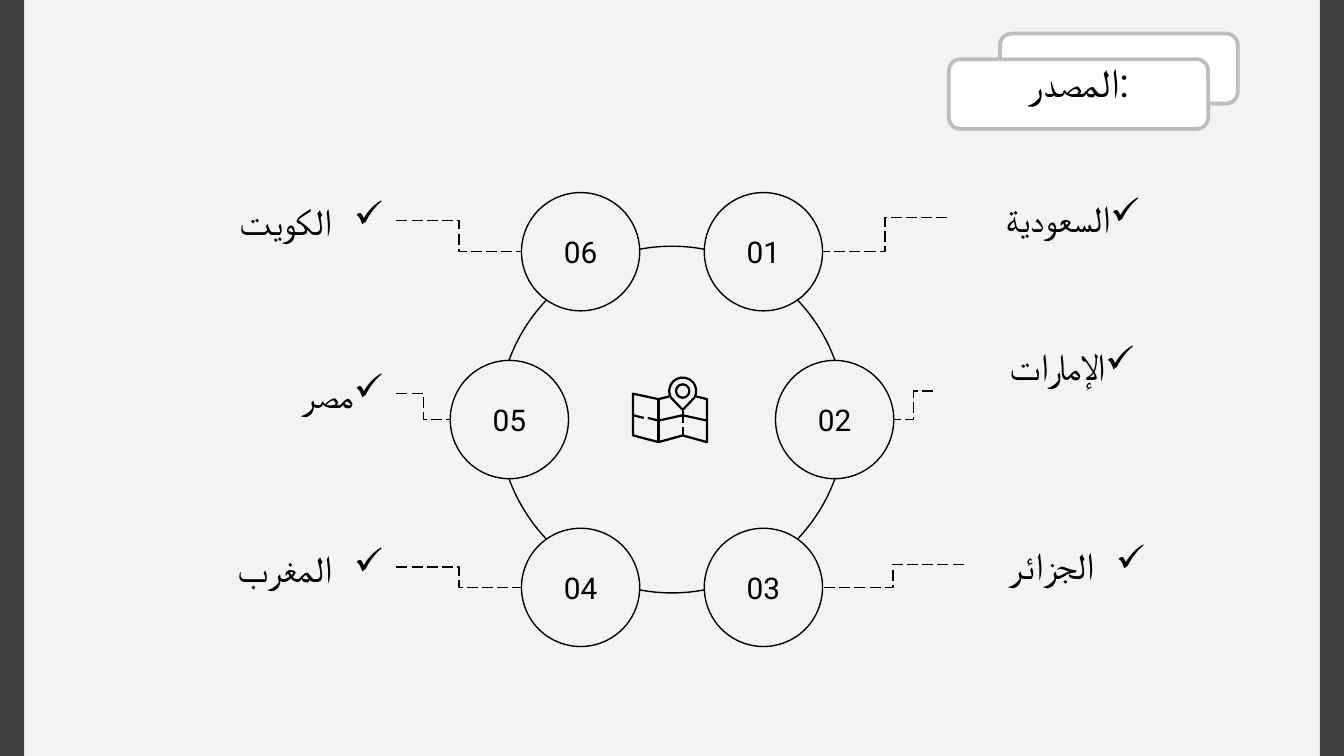
"""Build the slide of six numbered sources around a ring."""
from dataclasses import dataclass
from math import cos, radians, sin

from lxml import etree
from pptx import Presentation
from pptx import util as u
from pptx.dml.color import RGBColor
from pptx.enum import dml, shapes, text
from pptx.oxml import ns


@dataclass(frozen=True)
class Theme:
    font: str = "Roboto"
    paper: str = "F3F3F3"
    ink: str = "000000"
    card: str = "FFFFFF"
    edge: str = "BDBDBD"
    bar_alpha: int = 74000
    number: float = 16
    label: float = 20
    title: float = 21.6
    thin: float = 0.75
    icon: float = 1.2
    thick: float = 2


T = Theme()
W, H = 10, 5.625
CX, CY = W * 0.5, H * 0.555
COL_NEAR, COL_FAR, ROW = W * 0.068, W * 0.121, H * 0.222
RING, NODE, LABEL_H, BAR = 2.58, 0.88, 0.42, W * 0.018
LEFT_EDGE, LEFT_W = W * 0.295, W * 0.217

TITLE = "المصدر:"
CARDS = [(7.44, 0.25, 1.77, 0.52), (7.06, 0.44, 1.93, 0.52)]
TITLE_BOX = (7.06, 0.38, 1.93, 0.52)

# number, name, side, row, label edge, label width, label centre, lift, indent
NODES = [
    ("05", "مصر", -1, 0, LEFT_EDGE, LEFT_W, 2.93, 0, 0),
    ("02", "الإمارات", 1, 0, 6.94, 1.60, 2.91, 0.19, 0),
    ("06", "الكويت", -1, -1, LEFT_EDGE, LEFT_W, 1.64, 0, 0.38),
    ("01", "السعودية", 1, -1, 7.05, 1.53, 1.62, 0, 0),
    ("04", "المغرب", -1, 1, LEFT_EDGE, LEFT_W, 4.22, 0, 0.38),
    ("03", "الجزائر", 1, 1, 7.17, 1.45, 4.20, 0, 0.38),
]

PIN_X, PIN_Y, PIN_R, HOLE_R = 5.08, 2.91, 0.1, 0.05
MAP_LINES = [
    [(4.98, 2.95), (4.9, 2.97), (4.71, 2.93), (4.71, 3.24), (4.9, 3.29),
     (5.08, 3.24), (5.26, 3.29), (5.26, 2.97), (5.18, 2.95)],
    [(4.9, 2.97), (4.9, 3.29)],
    [(5.08, 3.06), (5.08, 3.15)],
    [(5.08, 3.18), (5.08, 3.24)],
    [(4.71, 3.09), (4.79, 3.11)],
    [(4.82, 3.11), (4.9, 3.13), (5.08, 3.09), (5.26, 3.13)],
]

prs = Presentation()
prs.slide_width, prs.slide_height = u.Inches(W), u.Inches(H)
s = prs.slides.add_slide(prs.slide_layouts[6])
s.background.fill.solid()
s.background.fill.fore_color.rgb = RGBColor.from_string(T.paper)


def assign(obj, values):
    for name, value in values.items():
        setattr(obj, name, value)


def inches(*lengths):
    return [u.Inches(v) for v in lengths]


def paint(sp, fill=None, line=None, width=T.thin):
    sp.shadow.inherit = False
    for part, color in ((sp.fill, fill), (sp.line.fill, line)):
        if color:
            part.solid()
            part.fore_color.rgb = RGBColor.from_string(color)
        else:
            part.background()
    if line:
        sp.line.width = u.Pt(width)
    return sp


def preset(kind, box, **look):
    return paint(s.shapes.add_shape(getattr(shapes.MSO_SHAPE, kind), *inches(*box)), **look)


def textbox(box):
    return s.shapes.add_textbox(*inches(*box))


def write(sp, words, size, align="CENTER"):
    tf = sp.text_frame
    inset = u.Inches(0.1)
    assign(tf, dict(word_wrap=True, vertical_anchor=text.MSO_ANCHOR.MIDDLE,
                    margin_left=inset, margin_right=inset,
                    margin_top=inset, margin_bottom=inset))
    p = tf.paragraphs[0]
    p.alignment = getattr(text.PP_ALIGN, align)
    r = p.add_run()
    r.text = words
    assign(r.font, dict(name=T.font, size=u.Pt(size)))
    r.font.color.rgb = RGBColor.from_string(T.ink)
    return p


def check_bullet(p, indent):
    ppr = p._p.get_or_add_pPr()
    for name, value in dict(rtl=1, marL=u.Inches(indent), indent=-u.Inches(indent)).items():
        ppr.set(name, str(value))
    color = etree.SubElement(ppr, ns.qn("a:buClr"))
    etree.SubElement(color, ns.qn("a:srgbClr"), val=T.ink)
    etree.SubElement(ppr, ns.qn("a:buChar"), char="✓")


def elbow(start, end):
    c = s.shapes.add_connector(shapes.MSO_CONNECTOR.ELBOW, *inches(*start, *end))
    assign(c.line, dict(width=u.Pt(T.thin), dash_style=dml.MSO_LINE.LONG_DASH))
    c.line.color.rgb = RGBColor.from_string(T.ink)
    etree.SubElement(c._element.spPr, ns.qn("a:effectLst"))


def around(x, y, radius):
    return (x - radius, y - radius, 2 * radius, 2 * radius)


def map_icon():
    arc = [(PIN_X + PIN_R * cos(radians(a)), PIN_Y + PIN_R * sin(radians(a)))
           for a in range(150, 391, 10)]
    tip = (PIN_X, PIN_Y + 0.14)
    lines = MAP_LINES + [[tip, *arc, tip]]
    pen = s.shapes.build_freeform(*inches(*lines[0][0]))
    for i, (start, *rest) in enumerate(lines):
        if i:
            pen.move_to(*inches(*start))
        pen.add_line_segments([inches(*point) for point in rest], close=False)
    paint(pen.convert_to_shape(), line=T.ink, width=T.icon)
    preset("OVAL", around(PIN_X, PIN_Y, HOLE_R), line=T.ink, width=T.icon)


preset("OVAL", around(CX, CY, RING / 2), line=T.ink)
for number, name, side, row, edge, width, centre, lift, indent in NODES:
    x = CX + side * (COL_NEAR if row else COL_FAR)
    y = CY + row * ROW
    node = preset("OVAL", around(x, y, NODE / 2), fill=T.paper, line=T.ink)
    write(node, number, T.number)
    left = edge if side > 0 else edge - width
    label = textbox((left, centre - LABEL_H / 2 - lift, width, LABEL_H))
    check_bullet(write(label, name, T.label, "RIGHT"), indent)
    elbow((edge, centre), (x + side * NODE / 2, y))

map_icon()
for left in (W - BAR, 0):
    bar = preset("RECTANGLE", (left, 0, BAR, H), fill=T.ink)
    tint = bar._element.spPr.find(".//" + ns.qn("a:srgbClr"))
    etree.SubElement(tint, ns.qn("a:alpha"), val=str(T.bar_alpha))

for card in CARDS:
    preset("ROUNDED_RECTANGLE", card, fill=T.card, line=T.edge, width=T.thick)
write(textbox(TITLE_BOX), TITLE, T.title).line_spacing = 0.8

prs.save("out.pptx")
